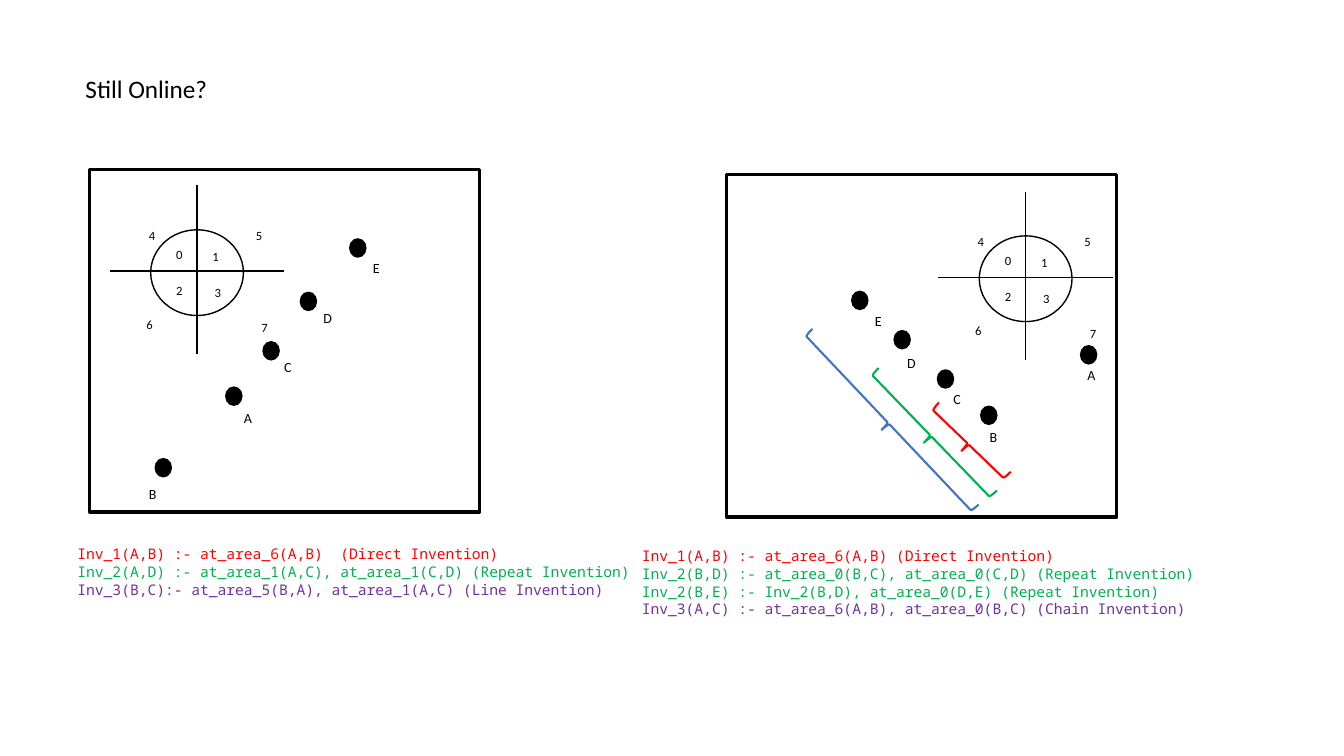
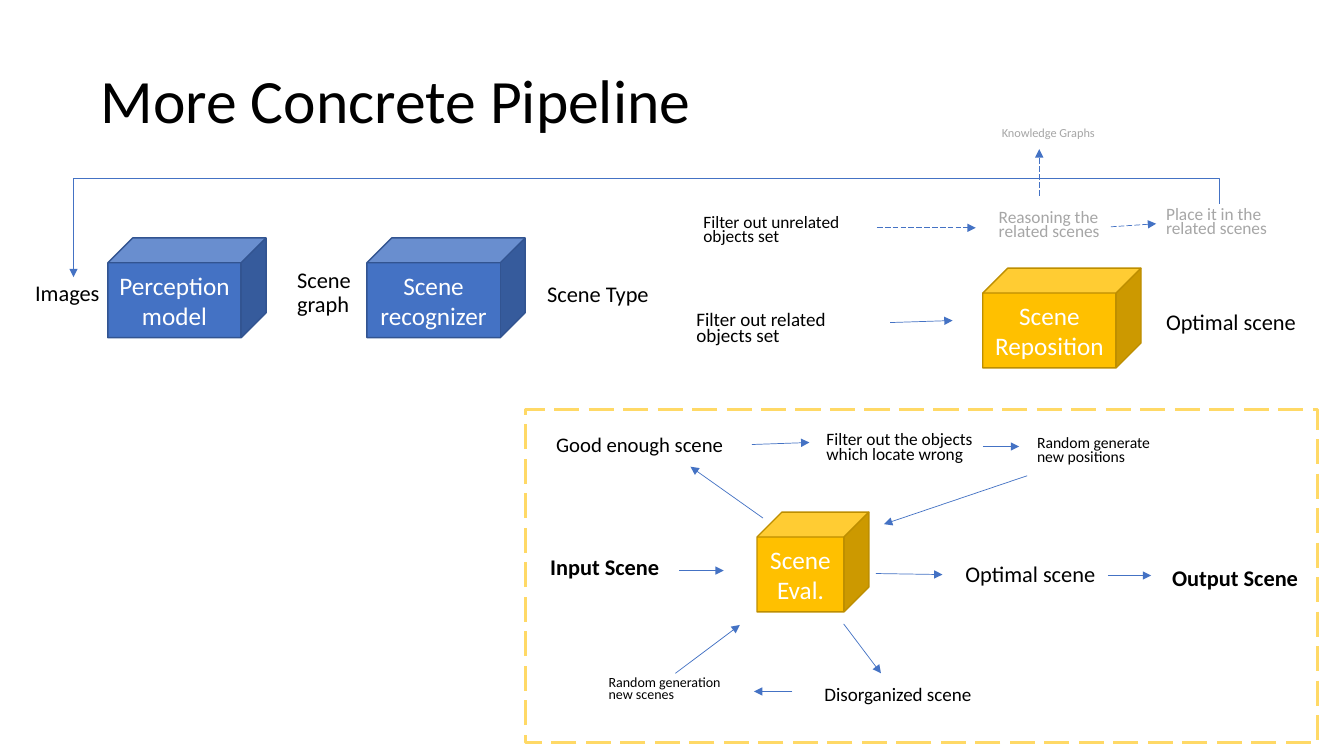
import pptx
import pptx.util
from lxml import etree
from pptx.dml.color import RGBColor
from pptx.enum.dml import MSO_LINE
from pptx.enum.shapes import MSO_CONNECTOR, MSO_SHAPE
from pptx.enum.text import MSO_ANCHOR, MSO_AUTO_SIZE, PP_ALIGN
from pptx.oxml.ns import qn

BLACK = RGBColor(0x00, 0x00, 0x00)
WHITE = RGBColor(0xFF, 0xFF, 0xFF)
GRAY = RGBColor(0xA6, 0xA6, 0xA6)
RED = RGBColor(0xFF, 0x00, 0x00)
GREEN = RGBColor(0x00, 0xB0, 0x50)
PURPLE = RGBColor(0x70, 0x30, 0xA0)
BLUE = RGBColor(0x44, 0x72, 0xC4)
BLUE_EDGE = RGBColor(0x32, 0x54, 0x91)
GOLD = RGBColor(0xFF, 0xC0, 0x00)
GOLD_EDGE = RGBColor(0xBD, 0x8E, 0x00)
PALE_GOLD = RGBColor(0xFF, 0xD9, 0x66)

COLUMNS, ROWS = 133.33, 75
CELL = pptx.util.Inches(0.1)
BODY_FONT, CODE_FONT = "Calibri", "Noto Sans Mono"


def grid(*cells):
    """Turn columns or rows of the grid into slide lengths."""
    return [round(n * CELL) for n in cells]


def write(p, text, size=16, color=BLACK, font=BODY_FONT, bold=False, align=None, spacing=None):
    p.alignment = align
    p.line_spacing = spacing
    r = p.add_run()
    r.text = text
    r.font.name = font
    r.font.size = pptx.util.Pt(size)
    r.font.bold = bold
    r.font.color.rgb = color


class Deck:
    """Holds the shared style and the slide being drawn; lengths are grid cells."""

    def __init__(self):
        self.prs = pptx.Presentation()
        self.prs.slide_width, self.prs.slide_height = grid(COLUMNS, ROWS)
        self.s = None

    def slide(self):
        self.s = self.prs.slides.add_slide(self.prs.slide_layouts[6])

    def text_frame(self, x, y, w, h, wrap=True):
        tf = self.s.shapes.add_textbox(*grid(x, y, w, h)).text_frame
        tf.word_wrap = wrap
        if not wrap:
            tf.auto_size = MSO_AUTO_SIZE.SHAPE_TO_FIT_TEXT
        return tf

    def title(self, text, x, y, w, h, size, **style):
        tf = self.text_frame(x, y, w, h)
        tf.vertical_anchor = MSO_ANCHOR.MIDDLE
        write(tf.paragraphs[0], text, size=size, **style)

    def label(self, text, x, y, w=3.7, h=3.8, size=10):
        """Write a short mark that never wraps."""
        tf = self.text_frame(x, y, w, h, wrap=False)
        write(tf.paragraphs[0], text, size=size)

    def caption(self, text, x, y, w, h=4, spacing=0.9, **style):
        tf = self.text_frame(x, y, w, h)
        write(tf.paragraphs[0], text, spacing=spacing, **style)

    def code(self, x, y, w, h, lines):
        tf = self.text_frame(x, y, w, h)
        for i, (text, color) in enumerate(lines):
            p = tf.add_paragraph() if i else tf.paragraphs[0]
            write(p, text, size=10.5, color=color, font=CODE_FONT)

    def shape(self, kind, x, y, w, h, fill=None, line=BLACK, width=1, dash=None, rotation=0):
        sp = self.s.shapes.add_shape(kind, *grid(x, y, w, h))
        sp.shadow.inherit = False
        if fill is None:
            sp.fill.background()
        else:
            sp.fill.solid()
            sp.fill.fore_color.rgb = fill
        sp.line.color.rgb = line
        sp.line.width = pptx.util.Pt(width)
        sp.line.dash_style = dash
        sp.rotation = rotation
        return sp

    def cube(self, text, x, y, w=15.7, fill=BLUE, line=BLUE_EDGE):
        tf = self.shape(MSO_SHAPE.CUBE, x, y, w, 9.9, fill, line).text_frame
        tf.word_wrap = True
        tf.vertical_anchor = MSO_ANCHOR.MIDDLE
        write(tf.paragraphs[0], text, size=18, color=WHITE, align=PP_ALIGN.CENTER)

    def line(self, x1, y1, x2, y2, kind=MSO_CONNECTOR.STRAIGHT, color=BLACK, width=1,
             dash=None, arrow=False):
        c = self.s.shapes.add_connector(kind, *grid(x1, y1, x2, y2))
        c.line.color.rgb = color
        c.line.width = pptx.util.Pt(width)
        c.line.dash_style = dash
        if arrow:
            etree.SubElement(c.line._get_or_add_ln(), qn("a:tailEnd"), type="triangle")
        etree.SubElement(c._element.spPr, qn("a:effectLst"))
        return c

    def arrow(self, x1, y1, x2, y2, dashed=False, **style):
        dash = MSO_LINE.LONG_DASH if dashed else None
        return self.line(x1, y1, x2, y2, color=BLUE, width=0.5, dash=dash, arrow=True, **style)

    def elbow_arrow(self, x1, y1, x2, y2, bus):
        """Leave and arrive vertically, crossing along the row named bus."""
        cx, cy = (x1 + x2) / 2, (y1 + y2) / 2
        dx, dy = x1 - cx, y1 - cy
        c = self.arrow(cx - dy, cy + dx, cx + dy, cy - dx, kind=MSO_CONNECTOR.ELBOW)
        spPr = c._element.spPr
        spPr.find(qn("a:xfrm")).set("rot", str(270 * 60000))
        bend = round((bus - y1) / (y2 - y1) * 100000)
        guides = spPr.find(qn("a:prstGeom")).find(qn("a:avLst"))
        etree.SubElement(guides, qn("a:gd"), name="adj1", fmla=f"val {bend}")

    def compass(self, x, y):
        """Draw the numbered areas around the centre x, y."""
        self.line(x - 8.65, y, x + 8.65, y)
        self.line(x, y + 8.2, x, y - 8.5)
        self.shape(MSO_SHAPE.OVAL, x - 4.6, y - 4.1, 9.2, 8.5)
        areas = [(-3.05, -2.9), (0.55, -2.7), (-3.05, 0.7), (0.75, 0.9),
                 (-5.75, -4.8), (4.85, -4.8), (-6, 4), (5.4, 4.3)]
        for number, (dx, dy) in enumerate(areas):
            self.label(str(number), x + dx, y + dy, 2.7, 2.5, size=9)

    def scene(self, x, y, compass, objects):
        """Frame a compass and the named dots, each with its label's place."""
        self.compass(*compass)
        for name, dot, mark in objects:
            self.shape(MSO_SHAPE.OVAL, *dot, 1.6, 1.8, fill=BLACK)
            self.label(name, *mark)
        self.shape(MSO_SHAPE.RECTANGLE, x, y, 38.7, 34, width=2.25)


def invention_slide(d):
    d.slide()
    d.title("Still Online?", 7.5, 6.8, 20, 4, size=18)
    d.scene(8.9, 16.8, (19.55, 26.9), [
        ("A", (22.4, 38.4), (23.2, 40.1)),
        ("B", (15.4, 45.5), (13.8, 47.7)),
        ("C", (26.1, 33.9), (27.2, 35.1)),
        ("D", (29.8, 29), (31.1, 30.2)),
        ("E", (34.7, 23.7), (36, 25.3)),
    ])
    d.code(6.7, 53.6, 59.2, 6.3, [
        ("Inv_1(A,B) :- at_area_6(A,B)  (Direct Invention)", RED),
        ("Inv_2(A,D) :- at_area_1(A,C), at_area_1(C,D) (Repeat Invention)", GREEN),
        ("Inv_3(B,C):- at_area_5(B,A), at_area_1(A,C) (Line Invention)", PURPLE),
    ])
    d.scene(72.1, 17.3, (101.75, 27.5), [
        ("A", (107.2, 34.3), (106.9, 35.9)),
        ("B", (97.3, 40.3), (97.2, 42)),
        ("C", (93, 36.7), (93.6, 38.2)),
        ("D", (88.7, 32.8), (89, 34.7)),
        ("E", (84.5, 28.9), (85.8, 30.5)),
    ])
    d.code(62.7, 53.8, 60, 9.8, [
        ("Inv_1(A,B) :- at_area_6(A,B) (Direct Invention)", RED),
        ("Inv_2(B,D) :- at_area_0(B,C), at_area_0(C,D) (Repeat Invention)", GREEN),
        ("Inv_2(B,E) :- Inv_2(B,D), at_area_0(D,E) (Repeat Invention)", GREEN),
        ("Inv_3(A,C) :- at_area_6(A,B), at_area_0(B,C) (Chain Invention)", PURPLE),
    ])
    for x, y, h, rotation, color in [(95.1, 39.1, 9.9, 313.9, RED),
                                     (91.4, 34.8, 16.9, 316, GREEN),
                                     (87.2, 30, 24, 316.6, BLUE)]:
        d.shape(MSO_SHAPE.LEFT_BRACE, x, y, 1.9, h, line=color, width=1.5, rotation=rotation)


def pipeline_slide(d):
    d.slide()
    d.title("More Concrete Pipeline", 9, 5.8, 63.9, 9, size=44, spacing=0.9)

    gold = dict(fill=GOLD, line=GOLD_EDGE)
    d.cube("Perception model", 10.7, 23.6)
    d.cube("Scene recognizer", 36.4, 23.6)
    d.cube("Scene Reposition", 97.5, 26.6, **gold)
    d.cube("Scene Eval.", 75.1, 50.8, w=11.1, **gold)
    d.shape(MSO_SHAPE.RECTANGLE, 52.1, 40.6, 78.6, 33.1, line=PALE_GOLD, width=2.25,
            dash=MSO_LINE.LONG_DASH)

    for text, x, y, w in [("Images", 2.5, 27.5, 9.5),
                          ("Scene graph", 28.5, 26.2, 8.6),
                          ("Scene Type", 53.3, 27.6, 12.3),
                          ("Optimal scene", 114.7, 30.4, 15.4),
                          ("Optimal scene", 94.8, 55.4, 15.4)]:
        d.caption(text, x, y, w)
    d.caption("Input Scene", 53.6, 54.7, 13, bold=True)
    d.caption("Output Scene", 115.3, 55.8, 15.4, bold=True)
    d.caption("Good enough scene", 54.2, 42.6, 19.4, size=14.8)

    for text, x, y, w, size, color in [
        ("Filter out unrelated objects set", 68.8, 21, 15.7, 12.4, BLACK),
        ("Reasoning the related scenes", 98.1, 20.5, 15.7, 12.4, GRAY),
        ("Place it in the related scenes", 114.7, 20.2, 12.7, 12.4, GRAY),
        ("Knowledge Graphs", 98.4, 12.3, 15.8, 8.8, GRAY),
        ("Filter out related objects set", 68.1, 30.6, 16.6, 13.6, BLACK),
        ("Filter out the objects which locate wrong", 81, 42.6, 18.1, 12.4, BLACK),
        ("Random generate new positions", 101.9, 43, 13.4, 11.2, BLACK),
        ("Random generation new scenes", 59.4, 66.8, 13.4, 10, BLACK),
        ("Disorganized scene", 80.8, 67.8, 19.3, 13.6, BLACK),
    ]:
        d.caption(text, x, y, w, spacing=0.7, size=size, color=color)

    d.elbow_arrow(121, 20.2, 7.3, 27.5, bus=17.7)
    for ends in [(83.7, 61.9, 87.4, 66.8), (78.6, 68.6, 74.8, 68.6),
                 (67, 66.8, 73.4, 62), (86.9, 56.9, 93.5, 57),
                 (74.6, 44.1, 80.3, 43.9), (75.7, 51.4, 68.5, 46.3),
                 (109.9, 57.1, 114.2, 57.1), (97.5, 44.3, 101.1, 44.3),
                 (101.9, 47.2, 87.7, 52), (67.4, 56.6, 71.8, 56.6),
                 (88.3, 32, 94.5, 31.8)]:
        d.arrow(*ends)
    for ends in [(87, 22.6, 96.8, 22.6), (110.2, 22.5, 114.7, 22.2),
                 (103.1, 19.4, 103.1, 14.8)]:
        d.arrow(*ends, dashed=True)


def main():
    d = Deck()
    invention_slide(d)
    pipeline_slide(d)
    d.prs.save("out.pptx")


if __name__ == "__main__":
    main()
